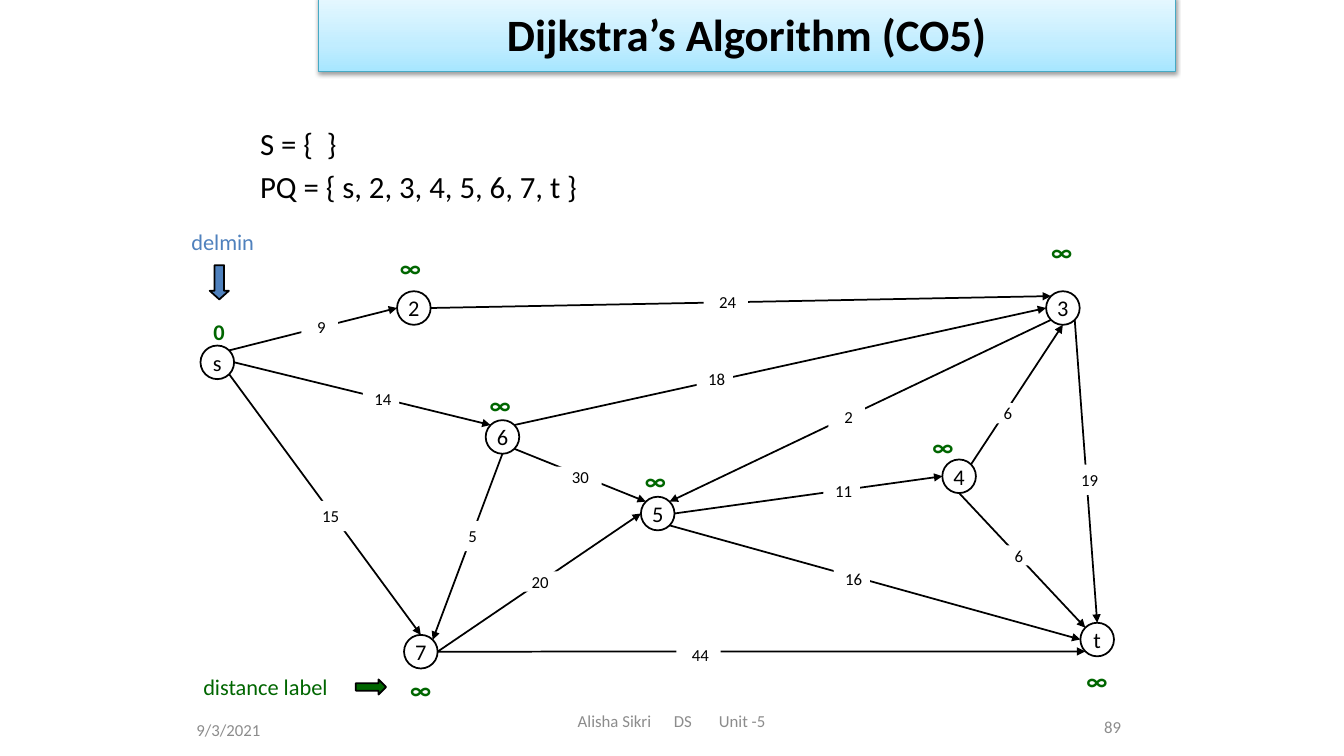
import dataclasses
import math
import typing

import lxml.etree
import pptx
import pptx.dml.color
import pptx.enum.dml
import pptx.enum.shapes
import pptx.enum.text
import pptx.oxml
import pptx.oxml.ns
import pptx.util

Pt = pptx.util.Pt
RGB = pptx.dml.color.RGBColor.from_string
SHAPE = pptx.enum.shapes.MSO_SHAPE
ALIGN = pptx.enum.text.PP_ALIGN
MIDDLE = pptx.enum.text.MSO_ANCHOR.MIDDLE
TOP = pptx.enum.text.MSO_ANCHOR.TOP
qn = pptx.oxml.ns.qn


@dataclasses.dataclass(frozen=True)
class Theme:
    font: str = "Calibri"
    ink: str = "000000"
    paper: str = "FFFFFF"
    distance: str = "006600"
    delmin: str = "4F81BD"
    footer: str = "8C8C8C"
    banner_line: str = "46AAC5"
    banner_stops: tuple = ((0, "A7E6FF"), (35, "C1EDFF"), (100, "E7F8FF"))
    title_size: float = 32
    sets_size: float = 22
    infinity_size: float = 18
    node_size: float = 16
    weight_size: float = 12
    stroke: float = 1.25
    radius: float = 12


class Box(typing.NamedTuple):
    left: float
    top: float
    width: float
    height: float


class Node(typing.NamedTuple):
    x: float
    y: float
    mark_left: float
    mark_top: float
    mark: str = "∞"


class Edge(typing.NamedTuple):
    start: str
    leaving: str
    end: str
    arriving: str
    weight: str
    left: float
    top: float
    width: float = 26
    height: float = 14.4


THEME = Theme()

NODES = {
    "s": Node(155.2, 258.8, 133.2, 223.9, "0"),
    "3": Node(759.2, 220, 735.1, 165.6),
    "t": Node(783.7, 456.8, 760.3, 471.6),
    "2": Node(295.6, 220, 270, 176.4),
    "6": Node(358.9, 312.1, 334.1, 274.3),
    "7": Node(300.6, 465.5, 277.2, 478.1),
    "4": Node(685.1, 340.2, 650.2, 304.6),
    "5": Node(469.8, 366.8, 445, 329),
}

EDGES = [
    Edge("s", "ne", "2", "w", "9", 215.3, 226.1),
    Edge("s", "e", "6", "nw", "14", 259.2, 277.9),
    Edge("s", "se", "7", "n", "15", 221.8, 357.8, height=21.6),
    Edge("6", "ne", "3", "w", "18", 497.5, 263.5),
    Edge("4", "ne", "3", "s", "6", 705.6, 288),
    Edge("6", "se", "5", "nw", "30", 396.7, 333.4, 33.1),
    Edge("5", "se", "t", "w", "16", 595.4, 406.1),
    Edge("5", "e", "4", "w", "11", 588.2, 343.4),
    Edge("4", "s", "t", "nw", "6", 713.5, 389.5),
    Edge("3", "sw", "5", "ne", "2", 591.8, 290.9),
    Edge("6", "s", "7", "ne", "5", 323.3, 372.2, height=21.6),
    Edge("7", "e", "5", "w", "20", 368.6, 408.2, 31.7),
    Edge("2", "e", "3", "nw", "24", 502.6, 208.1, 31.7),
    Edge("7", "e", "t", "sw", "44", 483.1, 460.8, 31.7),
    Edge("3", "se", "t", "n", "19", 763.9, 331.9, height=21.6),
]

COMPASS = ("e", "se", "s", "sw", "w", "nw", "n", "ne")


def write(frame, text: str, *, size: float, color: str = THEME.ink, bold: bool = False,
          align=ALIGN.CENTER, anchor=MIDDLE, insets=(0, 0, 0, 0), wrap: bool = True,
          gap: float = 0, tabs=()) -> None:
    frame.auto_size = pptx.enum.text.MSO_AUTO_SIZE.NONE
    frame.word_wrap = wrap
    frame.vertical_anchor = anchor
    frame.margin_left, frame.margin_top, frame.margin_right, frame.margin_bottom = map(Pt, insets)
    for index, line in enumerate(text.split("\n")):
        paragraph = frame.add_paragraph() if index else frame.paragraphs[0]
        paragraph.alignment = align
        if index:
            paragraph.space_before = Pt(gap)
        if tabs:
            stops = lxml.etree.SubElement(paragraph._p.get_or_add_pPr(), qn("a:tabLst"))
            for position in tabs:
                lxml.etree.SubElement(stops, qn("a:tab"), pos=str(Pt(position)), algn="l")
        run = paragraph.add_run()
        run.text = line
        run.font.name = THEME.font
        run.font.size = Pt(size)
        run.font.bold = bold
        run.font.color.rgb = RGB(color)


def add_text(slide, box: Box, text: str, **style) -> None:
    write(slide.shapes.add_textbox(*map(Pt, box)).text_frame, text, **style)


def add_figure(slide, preset, box: Box, fill: str, outlined: bool = True):
    figure = slide.shapes.add_shape(preset, *map(Pt, box))
    figure.shadow.inherit = False
    figure.fill.solid()
    figure.fill.fore_color.rgb = RGB(fill)
    if outlined:
        figure.line.color.rgb = RGB(THEME.ink)
        figure.line.width = Pt(THEME.stroke)
    else:
        figure.line.fill.background()
    return figure


def rim(node: Node, direction: str) -> tuple[float, float]:
    angle = COMPASS.index(direction) * math.pi / 4
    return node.x + THEME.radius * math.cos(angle), node.y + THEME.radius * math.sin(angle)


def add_edge(slide, edge: Edge) -> None:
    ends = rim(NODES[edge.start], edge.leaving) + rim(NODES[edge.end], edge.arriving)
    arrow = slide.shapes.add_connector(pptx.enum.shapes.MSO_CONNECTOR.STRAIGHT, *map(Pt, ends))
    arrow.line.color.rgb = RGB(THEME.ink)
    arrow.line.width = Pt(THEME.stroke)
    lxml.etree.SubElement(arrow.line._get_or_add_ln(), qn("a:tailEnd"), type="triangle")
    lxml.etree.SubElement(arrow._element.spPr, qn("a:effectLst"))


def add_weight(slide, edge: Edge) -> None:
    box = Box(edge.left, edge.top, edge.width, edge.height)
    weight = add_figure(slide, SHAPE.RECTANGLE, box, THEME.paper, outlined=False)
    write(weight.text_frame, edge.weight, size=THEME.weight_size, insets=(2.7, 0, 0, 0))


def add_node(slide, name: str, node: Node) -> None:
    diameter = 2 * THEME.radius
    box = Box(node.x - THEME.radius, node.y - THEME.radius, diameter, diameter)
    circle = add_figure(slide, SHAPE.OVAL, box, THEME.paper)
    write(circle.text_frame, name, size=THEME.node_size, wrap=False)


def add_mark(slide, node: Node) -> None:
    size = THEME.infinity_size if node.mark == "∞" else THEME.node_size
    add_text(slide, Box(node.mark_left, node.mark_top, 42.5, 28.8), node.mark, size=size,
             color=THEME.distance, bold=True, anchor=TOP, insets=(7.6, 3.6, 3.6, 3.6))


def format_title(title) -> None:
    title.left, title.top, title.width, title.height = map(Pt, (227.5, -2.9, 612, 54))
    write(title.text_frame, "Dijkstra’s Algorithm (CO5)", size=THEME.title_size, bold=True,
          insets=(7.2, 3.6, 7.2, 3.6))
    title.fill.gradient()
    title.fill.gradient_angle = 90
    stops = title._element.spPr.find(qn("a:gradFill")).find(qn("a:gsLst"))
    for stop in list(stops):
        stops.remove(stop)
    for position, color in THEME.banner_stops:
        stop = lxml.etree.SubElement(stops, qn("a:gs"), pos=str(position * 1000))
        lxml.etree.SubElement(stop, qn("a:srgbClr"), val=color)
    title.line.color.rgb = RGB(THEME.banner_line)
    title.line.width = Pt(0.75)
    effects = lxml.etree.SubElement(title._element.spPr, qn("a:effectLst"))
    shadow = lxml.etree.SubElement(effects, qn("a:outerShdw"), blurRad=str(Pt(3.1)),
                                   dist=str(Pt(1.6)), dir="5400000", rotWithShape="0")
    shade = lxml.etree.SubElement(shadow, qn("a:srgbClr"), val=THEME.ink)
    lxml.etree.SubElement(shade, qn("a:alpha"), val="38000")


def main() -> None:
    deck = pptx.Presentation()
    deck.slide_width, deck.slide_height = Pt(960), Pt(540)
    slide = deck.slides.add_slide(deck.slide_layouts[5])
    format_title(slide.shapes.title)

    for name, node in NODES.items():
        add_node(slide, name, node)
    for edge in EDGES:
        add_edge(slide, edge)
    for edge in EDGES:
        add_weight(slide, edge)
    for node in NODES.values():
        add_mark(slide, node)

    add_text(slide, Box(126.7, 477.4, 122.4, 26.6), "distance label", size=THEME.node_size,
             color=THEME.distance, anchor=TOP, insets=(7.2, 3.6, 3.6, 3.6))
    add_figure(slide, SHAPE.RIGHT_ARROW, Box(254.2, 485.3, 21.6, 10.8), THEME.distance)
    delmin_arrow = add_figure(slide, SHAPE.DOWN_ARROW, Box(149.8, 189.4, 13.7, 24.5), THEME.delmin)
    delmin_arrow.adjustments[1] = 0.45
    add_text(slide, Box(129.6, 159.1, 86.4, 26.6), "delmin", size=THEME.node_size,
             color=THEME.delmin, align=ALIGN.LEFT, anchor=TOP, insets=(7.2, 3.6, 7.2, 3.6))
    add_text(slide, Box(171.4, 85.7, 316.8, 66.2), "S = {  }\nPQ = { s, 2, 3, 4, 5, 6, 7, t }",
             size=THEME.sets_size, align=ALIGN.LEFT, anchor=TOP,
             insets=(14.4, 3.6, 14.4, 3.6), gap=4.4)

    footer = dict(size=THEME.weight_size, color=THEME.footer, insets=(7.2, 3.6, 7.2, 3.6))
    add_text(slide, Box(133.2, 506.9, 167.8, 28.8), "9/3/2021", align=ALIGN.LEFT, **footer)
    add_text(slide, Box(640.1, 504.7, 167.8, 28.8), "89", align=ALIGN.RIGHT, **footer)
    add_text(slide, Box(405.6, 500.4, 180, 28.8), "Alisha Sikri\tDS\tUnit -5",
             align=ALIGN.LEFT, tabs=(68.6, 100.8), **footer)
    deck.save("out.pptx")


if __name__ == "__main__":
    main()
